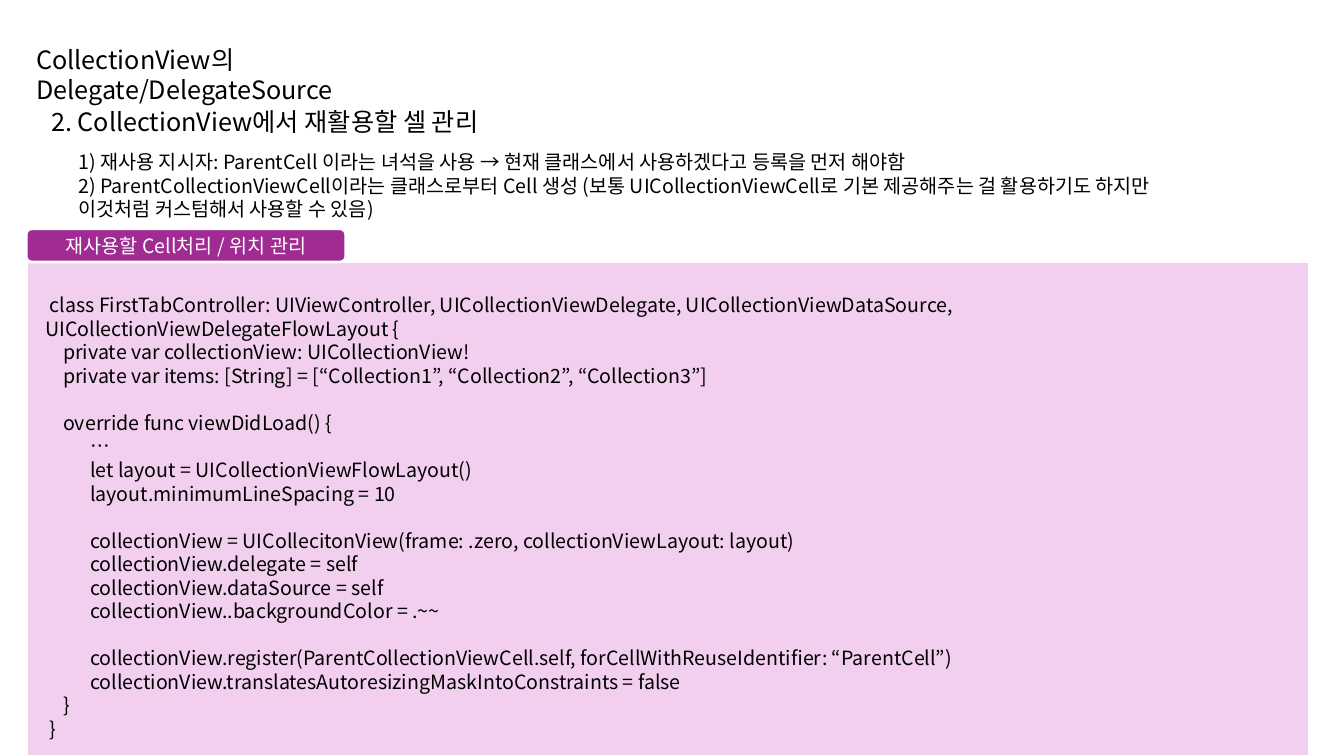
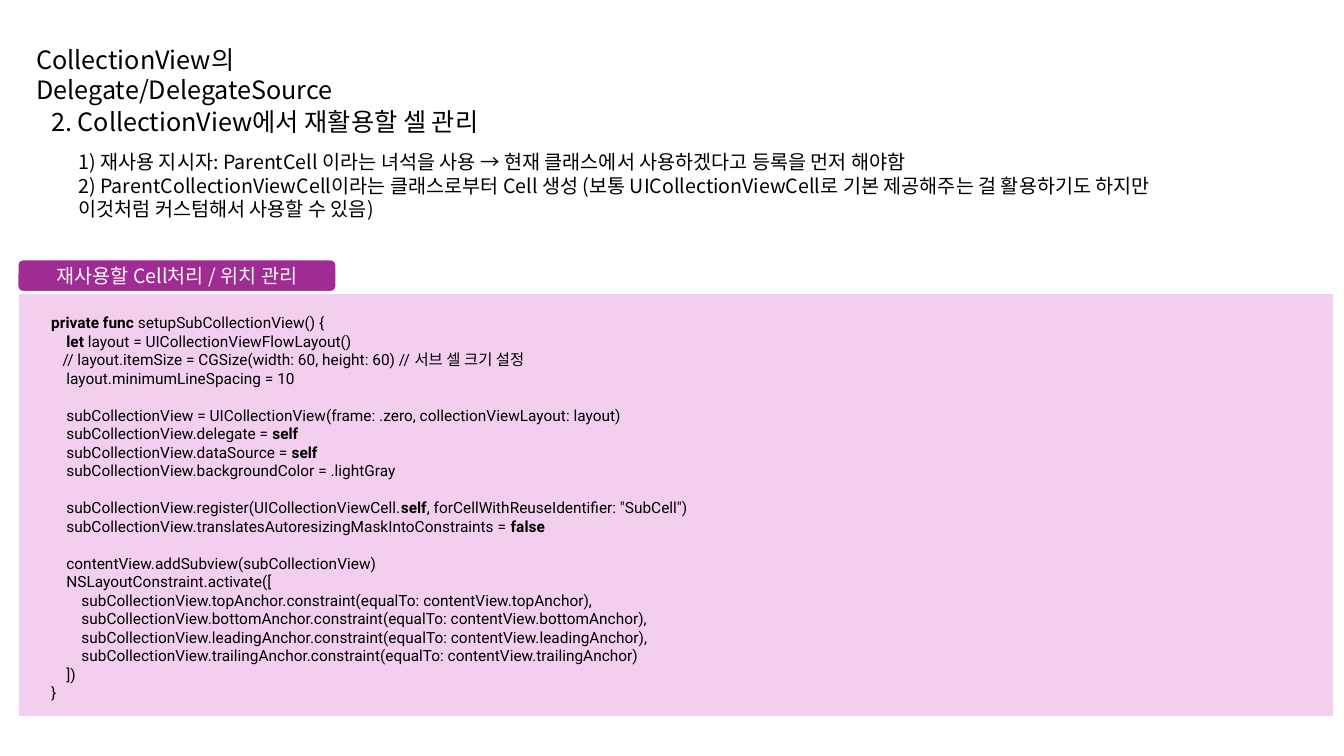
from lxml.etree import SubElement
from pptx import Presentation
from pptx.dml.color import RGBColor
from pptx.enum.shapes import MSO_SHAPE
from pptx.enum.text import MSO_ANCHOR, MSO_AUTO_SIZE, PP_ALIGN
from pptx.oxml.ns import qn
from pptx.util import Inches, Pt

BLACK = RGBColor(0x00, 0x00, 0x00)
WHITE = RGBColor(0xFF, 0xFF, 0xFF)
PINK = RGBColor(0xF2, 0xCF, 0xEE)
PURPLE = RGBColor(0xA0, 0x2B, 0x93)
SANS = "Noto Sans CJK KR"

TITLE = ["CollectionView의 Delegate/DelegateSource"]
HEAD = ["2. CollectionView에서 재활용할 셀 관리"]
LABEL = ["재사용할 Cell처리 / 위치 관리"]
NOTES = [
    "1) 재사용 지시자: ParentCell 이라는 녀석을 사용 → 현재 클래스에서 사용하겠다고 등록을 먼저 해야함",
    "2) ParentCollectionViewCell이라는 클래스로부터 Cell 생성 (보통 UICollectionViewCell로 기본 제공해주는 걸 활용하기도 하지만",
    "이것처럼 커스텀해서 사용할 수 있음)",
]

# Each code line: indent in spaces, text
MAIN_CODE = [
    (1, "class FirstTabController: UIViewController, UICollectionViewDelegate, "
        "UICollectionViewDataSource, UICollectionViewDelegateFlowLayout {"),
    (4, "private var collectionView: UICollectionView!"),
    (4, "private var items: [String] = [“Collection1”, “Collection2”, “Collection3”]"),
    (0, ""),
    (4, "override func viewDidLoad() {"),
    (10, "…"),
    (10, "let layout = UICollectionViewFlowLayout()"),
    (10, "layout.minimumLineSpacing = 10"),
    (0, ""),
    (10, "collectionView = UICollecitonView(frame: .zero, collectionViewLayout: layout)"),
    (10, "collectionView.delegate = self"),
    (10, "collectionView.dataSource = self"),
    (10, "collectionView..backgroundColor = .~~"),
    (0, ""),
    (10, "collectionView.register(ParentCollectionViewCell.self, forCellWithReuseIdentifier: “ParentCell”)"),
    (10, "collectionView.translatesAutoresizingMaskIntoConstraints = false"),
    (4, "}"),
    (1, "}"),
]

SUB_CODE = [
    (4, "*private func *setupSubCollectionView() {"),
    (8, "*let* layout = UICollectionViewFlowLayout()"),
    (7, "// layout.itemSize = CGSize(width: 60, height: 60) // 서브 셀 크기 설정"),
    (8, "layout.minimumLineSpacing = 10"),
    (0, ""),
    (8, "subCollectionView = UICollectionView(frame: .zero, collectionViewLayout: layout)"),
    (8, "subCollectionView.delegate = *self*"),
    (8, "subCollectionView.dataSource = *self*"),
    (8, "subCollectionView.backgroundColor = .lightGray"),
    (0, ""),
    (8, 'subCollectionView.register(UICollectionViewCell.*self*, forCellWithReuseIdentifier: "SubCell")'),
    (8, "subCollectionView.translatesAutoresizingMaskIntoConstraints = *false*"),
    (0, ""),
    (8, "contentView.addSubview(subCollectionView)"),
    (8, "NSLayoutConstraint.activate(["),
    (12, "subCollectionView.topAnchor.constraint(equalTo: contentView.topAnchor),"),
    (12, "subCollectionView.bottomAnchor.constraint(equalTo: contentView.bottomAnchor),"),
    (12, "subCollectionView.leadingAnchor.constraint(equalTo: contentView.leadingAnchor),"),
    (12, "subCollectionView.trailingAnchor.constraint(equalTo: contentView.trailingAnchor)"),
    (8, "])"),
    (4, "}"),
]

# Panel box, code box, code, text size, font, points per space
PAGES = [
    ((0.26, 2.6, 12.73, 4.9), (0.35, 2.86, 12.48, 4.34), MAIN_CODE, 14, SANS, 3.2),
    ((0.17, 2.9, 13.07, 4.22), (0.26, 3.06, 6.89, 4.17), SUB_CODE, 11, "Roboto", 2.7),
]


def write(shape, lines, size, font=SANS, step=0, color=BLACK, align=PP_ALIGN.LEFT):
    """Fill a shape with lines, plain or (spaces, text): each space indents
    by step points, an empty line becomes a gap, and *stars* mark bold."""
    frame = shape.text_frame
    frame.word_wrap = True
    frame.auto_size = MSO_AUTO_SIZE.NONE
    pitch, gap = 1.2 * size, 0
    for num, line in enumerate(lines):
        depth, text = (0, line) if isinstance(line, str) else line
        if not text:
            gap += pitch
            continue
        para = frame.add_paragraph() if num else frame.paragraphs[0]
        para.alignment = align
        para.line_spacing = Pt(pitch)
        para.space_before = Pt(gap)
        para.font.name = font
        para.font.size = Pt(size)
        para.font.color.rgb = color
        props = para._p.pPr
        props.set("marL", "0")
        props.set("indent", str(Pt(step * depth)))
        SubElement(props.find(qn("a:defRPr")), qn("a:ea"), typeface=SANS)
        for part, piece in enumerate(text.split("*")):
            if piece:
                run = para.add_run()
                run.text = piece
                if part % 2:
                    run.font.bold = True
        gap = 0


def block(slide, kind, box, fill):
    shape = slide.shapes.add_shape(kind, *map(Inches, box))
    shape.shadow.inherit = False
    shape.fill.solid()
    shape.fill.fore_color.rgb = fill
    shape.line.color.rgb = WHITE
    shape.line.width = Pt(2)
    return shape


deck = Presentation()
deck.slide_width = Inches(13.33)
deck.slide_height = Inches(7.5)

for panel, area, code, size, font, step in PAGES:
    slide = deck.slides.add_slide(deck.slide_layouts[5])
    title = slide.shapes.title
    title.left, title.top = Inches(0.26), Inches(0.39)
    title.width, title.height = Inches(5.08), Inches(0.7)
    title.text_frame.vertical_anchor = MSO_ANCHOR.TOP
    write(title, TITLE, 18)

    block(slide, MSO_SHAPE.RECTANGLE, panel, PINK)
    left, top = panel[:2]
    label = block(slide, MSO_SHAPE.ROUNDED_RECTANGLE, (left, top - 0.33, 3.17, 0.33), PURPLE)
    label.text_frame.vertical_anchor = MSO_ANCHOR.MIDDLE
    write(label, LABEL, 14, color=WHITE, align=PP_ALIGN.CENTER)

    for box, lines, *style in [
        ((0.41, 1.01, 4.7, 0.4), HEAD, 18),
        ((0.68, 1.44, 12, 0.81), NOTES, 14),
        (area, code, size, font, step),
    ]:
        write(slide.shapes.add_textbox(*map(Inches, box)), lines, *style)

deck.save("out.pptx")
